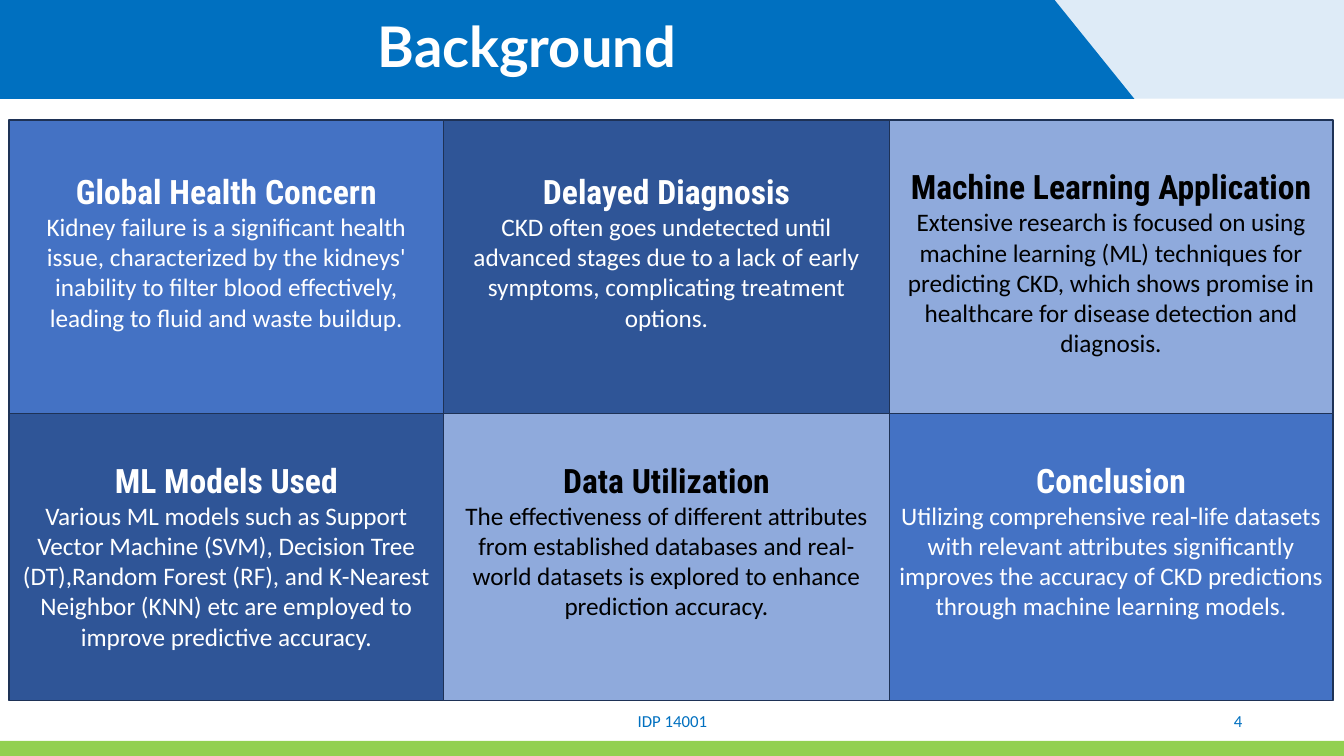
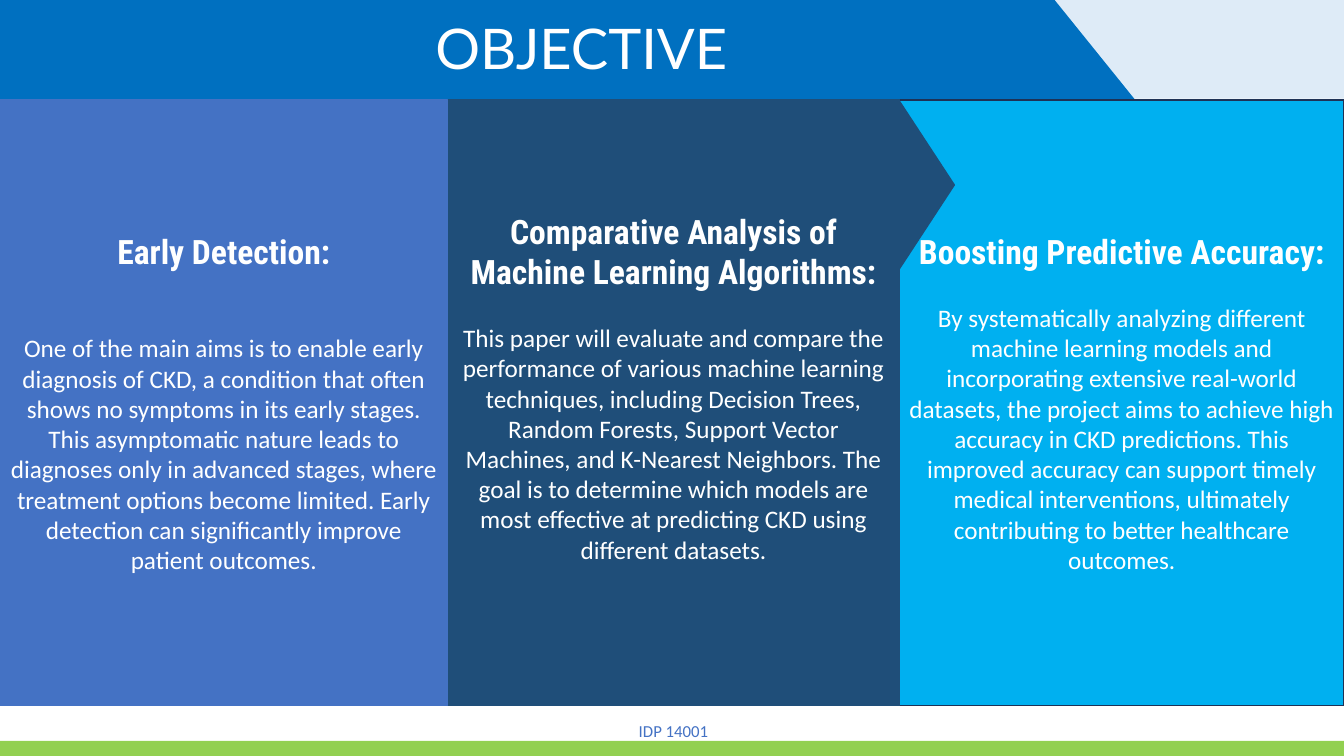
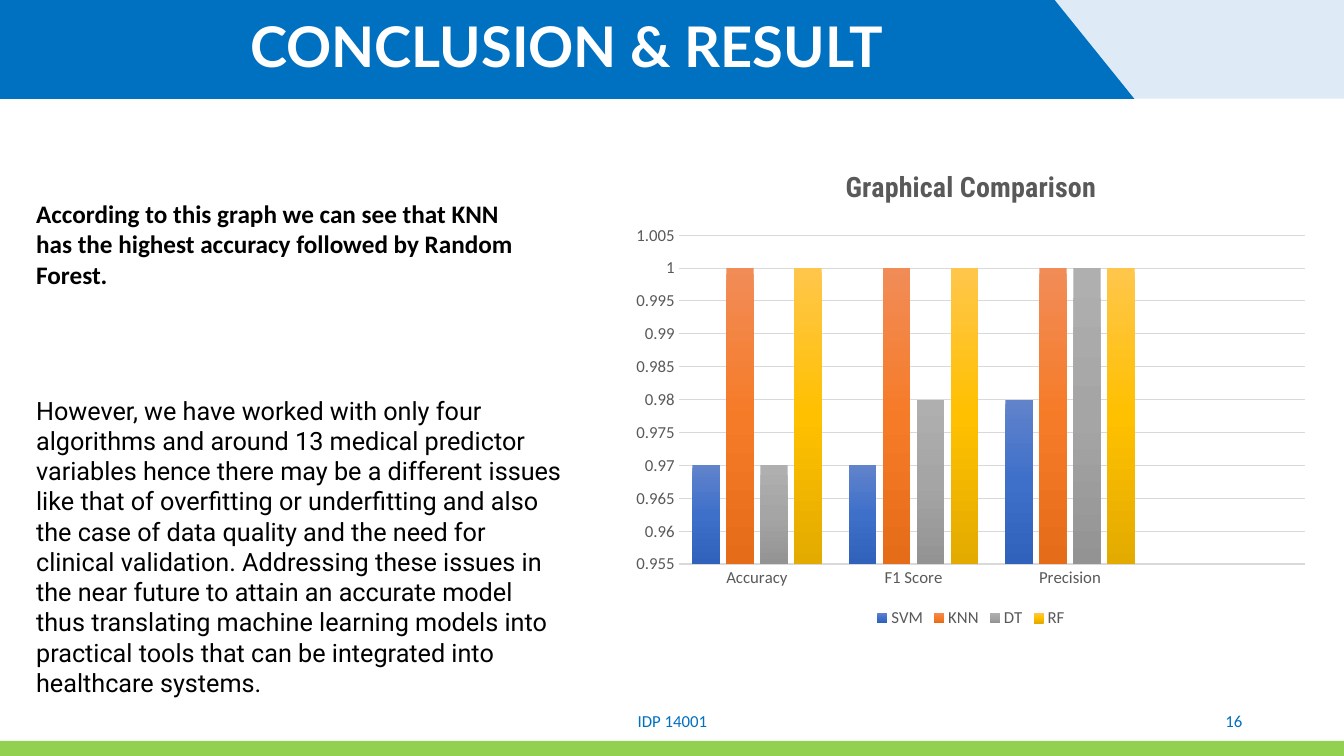
"""Build three slides on predicting chronic kidney disease with machine learning."""
from copy import deepcopy
from dataclasses import dataclass
from itertools import pairwise, product
from typing import Any

from lxml import etree
from pptx import Presentation
from pptx import slide as sl
from pptx import util as u
from pptx.chart import data as cd
from pptx.dml import color as dml
from pptx.enum import chart as ch
from pptx.enum import shapes as sh
from pptx.enum import text as tx
from pptx.oxml import ns

COLORS = {
    "white": "FFFFFF", "black": "000000", "band": "0070C0", "corner": "DEEBF7",
    "strip": "92D050", "blue": "4472C4", "navy": "2F5597", "pale": "8FAADC",
    "deep": "1F4E79", "sky": "00B0F0", "edge": "1E3256", "label": "595959",
    "grid": "D9D9D9",
}
CENTER, RIGHT, LEFT = tx.PP_ALIGN.CENTER, tx.PP_ALIGN.RIGHT, tx.PP_ALIGN.LEFT
MIDDLE, TOP = tx.MSO_ANCHOR.MIDDLE, tx.MSO_ANCHOR.TOP
RECTANGLE = sh.MSO_SHAPE.RECTANGLE
TITLE = {"name": "Lato", "size": u.Pt(40), "bold": True}
HEADING = {"name": "Roboto Condensed", "size": u.Pt(24), "bold": True}
BODY = {"name": "Calibri", "size": u.Pt(18), "bold": False}
FOOTER = {"name": "Calibri", "size": u.Pt(12)}
BAND_HEIGHT = 0.98


@dataclass(frozen=True)
class Box:
    """Hold a place on the slide in inches."""
    left: float
    top: float
    width: float
    height: float

    def lengths(self) -> tuple[u.Length, ...]:
        """Return the four lengths."""
        return tuple(u.Inches(n) for n in (self.left, self.top, self.width, self.height))


@dataclass(frozen=True)
class Card:
    """Hold a filled box with a heading and a text."""
    heading: str
    text: str
    fill: str
    line: str = "edge"
    ink: str = "white"
    gap: float = 0
    pad_top: float = 0.05
    pad_bottom: float = 0.05
    anchor: Any = MIDDLE


@dataclass(frozen=True)
class Series:
    """Hold the scores of a model and its gradient."""
    name: str
    scores: tuple[float, ...]
    stops: tuple[str, str, str]


BACKGROUND = (
    Card("Global Health Concern",
         "Kidney failure is a significant health issue, characterized by the kidneys' inability "
         "to filter blood effectively, leading to fluid and waste buildup.",
         "blue", pad_bottom=0.35),
    Card("Delayed Diagnosis",
         "CKD often goes undetected until advanced stages due to a lack of early symptoms, "
         "complicating treatment options.",
         "navy", pad_bottom=0.35),
    Card("Machine Learning Application",
         "Extensive research is focused on using machine learning (ML) techniques for predicting "
         "CKD, which shows promise in healthcare for disease detection and diagnosis.",
         "pale", ink="black", pad_top=0.46, anchor=TOP),
    Card("ML Models Used",
         "Various ML models such as Support Vector Machine (SVM), Decision Tree (DT),Random "
         "Forest (RF), and K-Nearest Neighbor (KNN) etc are employed to improve predictive "
         "accuracy.",
         "navy", pad_top=0.46, anchor=TOP),
    Card("Data Utilization",
         "The effectiveness of different attributes from established databases and real-world "
         "datasets is explored to enhance prediction accuracy.",
         "pale", ink="black", pad_top=0.46, anchor=TOP),
    Card("Conclusion",
         "Utilizing comprehensive real-life datasets with relevant attributes significantly "
         "improves the accuracy of CKD predictions through machine learning models.",
         "blue", pad_top=0.46, anchor=TOP),
)
OBJECTIVES = (
    Card("Early Detection:",
         "One of the main aims is to enable early diagnosis of CKD, a condition that often shows "
         "no symptoms in its early stages. This asymptomatic nature leads to diagnoses only in "
         "advanced stages, where treatment options become limited. Early detection can "
         "significantly improve patient outcomes.",
         "blue", "blue", gap=44),
    Card("Comparative Analysis of Machine Learning Algorithms:",
         "This paper will evaluate and compare the performance of various machine learning "
         "techniques, including Decision Trees, Random Forests, Support Vector Machines, and "
         "K-Nearest Neighbors. The goal is to determine which models are most effective at "
         "predicting CKD using different datasets.",
         "deep", "deep", gap=22, pad_bottom=0.35),
    Card("Boosting Predictive Accuracy:",
         "By systematically analyzing different machine learning models and incorporating "
         "extensive real-world datasets, the project aims to achieve high accuracy in CKD "
         "predictions. This improved accuracy can support timely medical interventions, "
         "ultimately contributing to better healthcare outcomes.",
         "sky", gap=22),
)
MODELS = (
    Series("SVM", (0.97, 0.97, 0.98), ("6183CB", "3E70CA", "3062BB")),
    Series("KNN", (1, 1, 1), ("F18C57", "F67B28", "E56C19")),
    Series("DT", (0.97, 0.98, 1), ("AFAFAF", "A5A5A5", "939393")),
    Series("RF", (1, 1, 1), ("FFC64B", "FFC000", "E3AB00")),
)
FINDING = ("According to this graph we can see that KNN has the highest accuracy followed by "
           "Random Forest.")
OUTLOOK = ("However, we have worked with only four algorithms and around 13 medical predictor "
           "variables hence there may be a different issues like that of overfitting or "
           "underfitting and also the case of data quality and the need for clinical validation. "
           "Addressing these issues in the near future to attain an accurate model thus "
           "translating machine learning models into practical tools that can be integrated "
           "into healthcare systems.")


def rgb(name: str) -> dml.RGBColor:
    """Look up a named colour."""
    return dml.RGBColor.from_string(COLORS[name])


def set_all(target: Any, formats: dict[str, Any]) -> None:
    """Set each attribute named in a dict."""
    for name, value in formats.items():
        setattr(target, name, value)


def style_font(font: Any, formats: dict[str, Any], ink: str) -> None:
    """Give a font its format values and colour."""
    set_all(font, formats)
    font.color.rgb = rgb(ink)


def paint(shape: Any, fill: str, line: str | None = None) -> None:
    """Fill and outline a shape without a shadow."""
    shape.shadow.inherit = False
    shape.fill.solid()
    shape.fill.fore_color.rgb = rgb(fill)
    if line:
        shape.line.color.rgb = rgb(line)
        shape.line.width = u.Pt(1)
    else:
        shape.line.fill.background()


def add_bands(slide: sl.Slide, layout: sl.SlideLayout) -> None:
    """Draw the header and footer bands and move them to the layout."""
    corner = slide.shapes.add_shape(RECTANGLE, *Box(9.42, 0, 3.91, BAND_HEIGHT).lengths())
    outline = slide.shapes.build_freeform(0, 0)
    outline.add_line_segments([(u.Inches(x), u.Inches(y)) for x, y in (
        (10.46, 0), (11.25, BAND_HEIGHT), (0, BAND_HEIGHT))])
    header = outline.convert_to_shape()
    strip = slide.shapes.add_shape(RECTANGLE, *Box(0, 7.35, 13.33, 0.15).lengths())
    bands = ((corner, "corner"), (header, "band"), (strip, "strip"))
    for index, (band, fill) in enumerate(bands):
        paint(band, fill)
        band.element.nvSpPr.cNvPr.set("id", str(100 + index))
        layout.shapes.element.insert(2 + index, band.element)


def set_title(slide: sl.Slide, words: str, box: Box, bold: bool = True,
              spacing: float = 0.9) -> None:
    """Place and format the slide title."""
    title = slide.shapes.title
    set_all(title, dict(zip(("left", "top", "width", "height"), box.lengths())))
    set_all(title.text_frame, {"text": words, "vertical_anchor": MIDDLE, "word_wrap": True,
                               "auto_size": tx.MSO_AUTO_SIZE.NONE})
    paragraph = title.text_frame.paragraphs[0]
    set_all(paragraph, {"alignment": CENTER, "line_spacing": spacing})
    style_font(paragraph.font, TITLE | {"bold": bold}, "white")


def add_text(slide: sl.Slide, words: str, box: Box, formats: dict[str, Any], ink: str,
             align: Any = LEFT, anchor: Any = TOP) -> None:
    """Add a wrapped text box with one paragraph."""
    frame = slide.shapes.add_textbox(*box.lengths()).text_frame
    set_all(frame, {"text": words, "word_wrap": True, "vertical_anchor": anchor})
    frame.paragraphs[0].alignment = align
    style_font(frame.paragraphs[0].font, formats, ink)


def add_footer(slide: sl.Slide, number: str) -> None:
    """Add the course code and the slide number."""
    for words, box, align in (("IDP 14001", Box(4.42, 6.95, 4.5, 0.4), CENTER),
                              (number, Box(9.42, 6.95, 3, 0.4), RIGHT)):
        add_text(slide, words, box, FOOTER, "band", align, MIDDLE)


def add_card(slide: sl.Slide, card: Card, box: Box) -> None:
    """Draw a card with its heading and text."""
    panel = slide.shapes.add_shape(RECTANGLE, *box.lengths())
    paint(panel, card.fill, card.line)
    frame = panel.text_frame
    set_all(frame, {"text": f"{card.heading}\n{card.text}", "word_wrap": True,
                    "vertical_anchor": card.anchor, "margin_top": u.Inches(card.pad_top),
                    "margin_bottom": u.Inches(card.pad_bottom)})
    for paragraph, formats in zip(frame.paragraphs, (HEADING, BODY)):
        paragraph.alignment = CENTER
        style_font(paragraph.font, formats, card.ink)
    if card.gap:
        frame.paragraphs[1].space_before = u.Pt(card.gap)


def fill_gradient(fill: Any, stops: tuple[str, ...]) -> None:
    """Fill with an evenly spaced gradient from top to bottom."""
    fill.gradient()
    fill.gradient_angle = 270
    first = fill.gradient_stops[0].element
    first.addnext(deepcopy(first))
    for index, (stop, shade) in enumerate(zip(fill.gradient_stops, stops)):
        stop.position = index / (len(stops) - 1)
        stop.color.rgb = dml.RGBColor.from_string(shade)


def place_plot(chart: Any, fractions: dict[str, float]) -> None:
    """Fix the inner plot area as fractions of the chart."""
    plot_area = chart.element.chart.plotArea
    for old in plot_area.findall(ns.qn("c:layout")):
        plot_area.remove(old)
    layout = etree.Element(ns.qn("c:layout"))
    manual = etree.SubElement(layout, ns.qn("c:manualLayout"))
    values = {"layoutTarget": "inner", "xMode": "edge", "yMode": "edge"} | fractions
    for name, value in values.items():
        etree.SubElement(manual, ns.qn(f"c:{name}")).set("val", str(value))
    plot_area.insert(0, layout)


def add_scores(slide: sl.Slide, box: Box) -> None:
    """Add the column chart of model scores."""
    scores = cd.CategoryChartData()
    scores.categories = ["Accuracy", "F1 Score", "Precision", ""]
    for model in MODELS:
        scores.add_series(model.name, (*model.scores, None))
    kind = ch.XL_CHART_TYPE.COLUMN_CLUSTERED
    chart = slide.shapes.add_chart(kind, *box.lengths(), scores).chart
    style_font(chart.font, {"name": "Calibri", "size": u.Pt(10)}, "black")
    set_all(chart, {"has_title": True, "has_legend": True})
    chart.chart_title.text_frame.text = "Graphical Comparison"
    style_font(chart.chart_title.text_frame.paragraphs[0].font,
               HEADING | {"size": u.Pt(20)}, "label")
    set_all(chart.legend, {"position": ch.XL_LEGEND_POSITION.BOTTOM,
                           "include_in_layout": False})
    style_font(chart.legend.font, FOOTER, "label")
    plot = chart.plots[0]
    set_all(plot, {"gap_width": 100, "overlap": -24, "vary_by_categories": False})
    for series, model in zip(plot.series, MODELS):
        series.invert_if_negative = False
        fill_gradient(series.format.fill, model.stops)
    for axis in (chart.category_axis, chart.value_axis):
        set_all(axis, {"major_tick_mark": ch.XL_TICK_MARK.NONE,
                       "minor_tick_mark": ch.XL_TICK_MARK.NONE})
        style_font(axis.tick_labels.font, FOOTER, "label")
    set_all(chart.value_axis, {"minimum_scale": 0.955, "maximum_scale": 1.005,
                               "major_unit": 0.005, "has_major_gridlines": True})
    chart.value_axis.format.line.fill.background()
    for line, width in ((chart.category_axis.format.line, 1),
                        (chart.value_axis.major_gridlines.format.line, 0.75)):
        line.color.rgb = rgb("grid")
        line.width = u.Pt(width)
    place_plot(chart, {"x": 0.08, "y": 0.18, "w": 0.9, "h": 0.68})


def build_background(slide: sl.Slide) -> None:
    """Fill the slide with a grid of six cards."""
    set_title(slide, "Background", Box(0, 0, 10.45, BAND_HEIGHT))
    add_footer(slide, "4")
    rows = pairwise((1.19, 4.1, 6.95))
    columns = pairwise((0.09, 4.4, 8.82, 13.22))
    for card, ((top, bottom), (left, right)) in zip(BACKGROUND, product(rows, columns)):
        add_card(slide, card, Box(left, top, right - left, bottom - top))


def build_objective(slide: sl.Slide) -> None:
    """Fill the slide with three panels and an arrow tip."""
    set_title(slide, "OBJECTIVE", Box(3.24, 0.08, 5.05, 0.77), bold=False, spacing=1.0)
    columns = pairwise((0, 4.44, 8.92, 13.33))
    for card, (left, right) in reversed(list(zip(OBJECTIVES, columns))):
        add_card(slide, card, Box(left, 0.99, right - left, 6.01))
    tip = slide.shapes.add_shape(sh.MSO_SHAPE.ISOSCELES_TRIANGLE,
                                 *Box(8.35, 1.56, 1.68, 0.55).lengths())
    tip.rotation = 90
    paint(tip, "deep", "deep")
    add_text(slide, "IDP 14001", Box(5.07, 7.1, 3.22, 0.3), FOOTER, "blue", CENTER)


def build_result(slide: sl.Slide) -> None:
    """Fill the slide with the findings and the chart."""
    set_title(slide, "CONCLUSION & RESULT", Box(0.92, 0, 9.4, BAND_HEIGHT))
    add_footer(slide, "16")
    add_scores(slide, Box(6.18, 1.47, 6.9, 4.8))
    add_text(slide, FINDING, Box(0.26, 1.92, 4.98, 1.01), BODY | {"bold": True}, "black")
    add_text(slide, OUTLOOK, Box(0.26, 3.87, 5.42, 2.83), BODY | {"name": "Roboto"}, "black")


def main() -> None:
    """Build and save the presentation."""
    deck = Presentation()
    set_all(deck, {"slide_width": u.Inches(13.33), "slide_height": u.Inches(7.5)})
    layout = deck.slide_layouts.get_by_name("Title Only")
    for index, build in enumerate((build_background, build_objective, build_result)):
        slide = deck.slides.add_slide(layout)
        if index == 0:
            add_bands(slide, layout)
        build(slide)
    deck.save("out.pptx")


if __name__ == "__main__":
    main()
